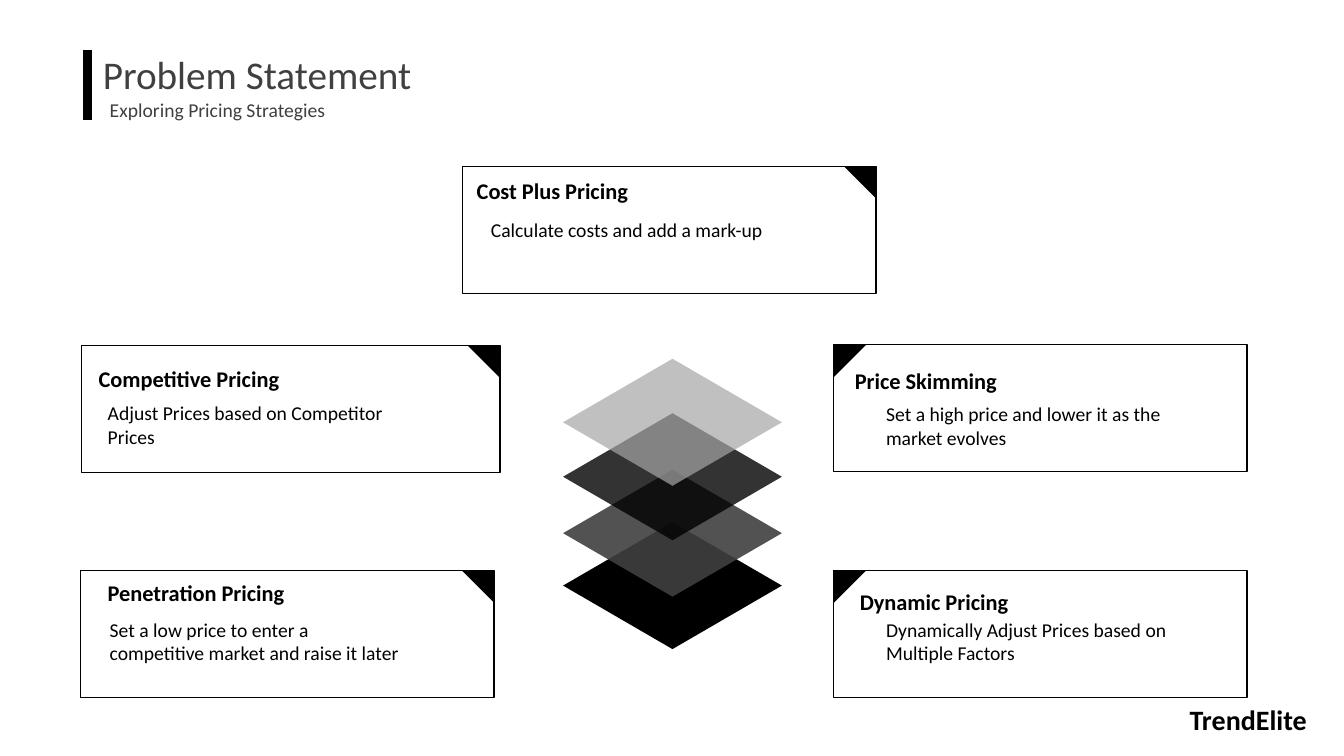
from lxml import etree
from pptx import Presentation
from pptx.dml.color import RGBColor
from pptx.enum.shapes import MSO_CONNECTOR, MSO_SHAPE
from pptx.enum.text import MSO_ANCHOR, MSO_AUTO_SIZE, PP_ALIGN
from pptx.oxml.ns import qn
from pptx.util import Inches, Pt

RECTANGLE, DIAMOND, CORNER = MSO_SHAPE.RECTANGLE, MSO_SHAPE.DIAMOND, MSO_SHAPE.RIGHT_TRIANGLE
STRAIGHT = MSO_CONNECTOR.STRAIGHT
TOP, LEFT, NO_FIT = MSO_ANCHOR.TOP, PP_ALIGN.LEFT, MSO_AUTO_SIZE.NONE
COLOURS = {"black": "000000", "charcoal": "404040", "silver": "A6A6A6"}
FONT = "Calibri"
CARD_HEIGHT, CORNER_SIZE = 1.26, 0.32
LAYER_WIDTH, LAYER_HEIGHT = 2.17, 1.26

deck = Presentation()
deck.slide_width, deck.slide_height = Inches(13.33), Inches(7.5)
page = deck.slides.add_slide(deck.slide_layouts[5])


def write(text, left, top, width, height, size=14, bold=False, colour="black", box=None):
    """Put one formatted paragraph in the given box, or in a new text box."""
    box = box or page.shapes.add_textbox(0, 0, 0, 0)
    box.left, box.top, box.width, box.height = map(Inches, (left, top, width, height))
    frame = box.text_frame
    frame.word_wrap, frame.auto_size, frame.vertical_anchor = True, NO_FIT, TOP
    para = frame.paragraphs[0]
    para.alignment = LEFT
    span = para.add_run()
    span.text = text
    span.font.name, span.font.size, span.font.bold = FONT, Pt(size), bold
    span.font.color.rgb = RGBColor.from_string(COLOURS[colour])


def draw(kind, left, top, width, height, fill=None, opacity=100, rotation=0):
    """Draw a filled shape without a line, or an outlined one when fill is None."""
    shape = page.shapes.add_shape(kind, *map(Inches, (left, top, width, height)))
    shape.shadow.inherit = False
    shape.rotation = rotation
    if fill is None:
        shape.fill.background()
        shape.line.color.rgb = RGBColor.from_string(COLOURS["black"])
        shape.line.width = Pt(1)
        return
    shape.line.fill.background()
    shape.fill.solid()
    shape.fill.fore_color.rgb = RGBColor.from_string(COLOURS[fill])
    if opacity < 100:
        colour = shape.fill._xPr.find(qn("a:solidFill"))[0]
        etree.SubElement(colour, qn("a:alpha")).set("val", str(opacity * 1000))


# Heading with its vertical bar
write("Problem Statement", 0.92, 0.45, 3.44, 0.57, size=28, colour="charcoal",
      box=page.shapes.title)
write("Exploring Pricing Strategies", 0.99, 0.92, 2.67, 0.34, colour="charcoal")
bar = page.shapes.add_connector(STRAIGHT, *map(Inches, (0.87, 0.5, 0.87, 1.19)))
bar.line.color.rgb = RGBColor.from_string(COLOURS["black"])
bar.line.width = Pt(6)
etree.SubElement(bar._element.spPr, qn("a:effectLst"))

# Stack of layers, lowest first: centre height, colour, opacity
LAYERS = [
    (5.81, "black", 100),
    (5.29, "charcoal", 90),
    (4.73, "black", 80),
    (4.19, "silver", 70),
]
for middle, colour, opacity in LAYERS:
    draw(DIAMOND, 6.67 - LAYER_WIDTH / 2, middle - LAYER_HEIGHT / 2,
         LAYER_WIDTH, LAYER_HEIGHT, fill=colour, opacity=opacity)

# Cards: left, top, width, corner side, then heading and body with their offsets
CARDS = [
    (4.59, 1.65, 4.1, "right", "Cost Plus Pricing", (0.04, 0.06),
     "Calculate costs and add a mark-up", (0.18, 0.46)),
    (0.81, 3.43, 4.15, "right", "Competitive Pricing", (0.07, 0.14),
     "Adjust Prices based on Competitor Prices", (0.16, 0.5)),
    (8.27, 3.42, 4.1, "left", "Price Skimming", (0.11, 0.17),
     "Set a high price and lower it as the market evolves", (0.42, 0.52)),
    (0.8, 5.66, 4.1, "right", "Penetration Pricing", (0.17, 0.04),
     "Set a low price to enter a competitive market and raise it later", (0.19, 0.42)),
    (8.27, 5.66, 4.1, "left", "Dynamic Pricing", (0.16, 0.13),
     "Dynamically Adjust Prices based on Multiple Factors", (0.42, 0.42)),
]
for left, top, width, side, heading, heading_at, body, body_at in CARDS:
    draw(RECTANGLE, left, top, width, CARD_HEIGHT)
    corner_left = left if side == "left" else left + width - CORNER_SIZE
    draw(CORNER, corner_left, top, CORNER_SIZE, CORNER_SIZE, fill="black",
         rotation=90 if side == "left" else 180)
    write(heading, left + heading_at[0], top + heading_at[1], 2.43, 0.37, size=16, bold=True)
    write(body, left + body_at[0], top + body_at[1], 3.13, 0.73)

write("TrendElite", 11.7, 6.92, 1.53, 0.44, size=20, bold=True)

deck.save("out.pptx")
